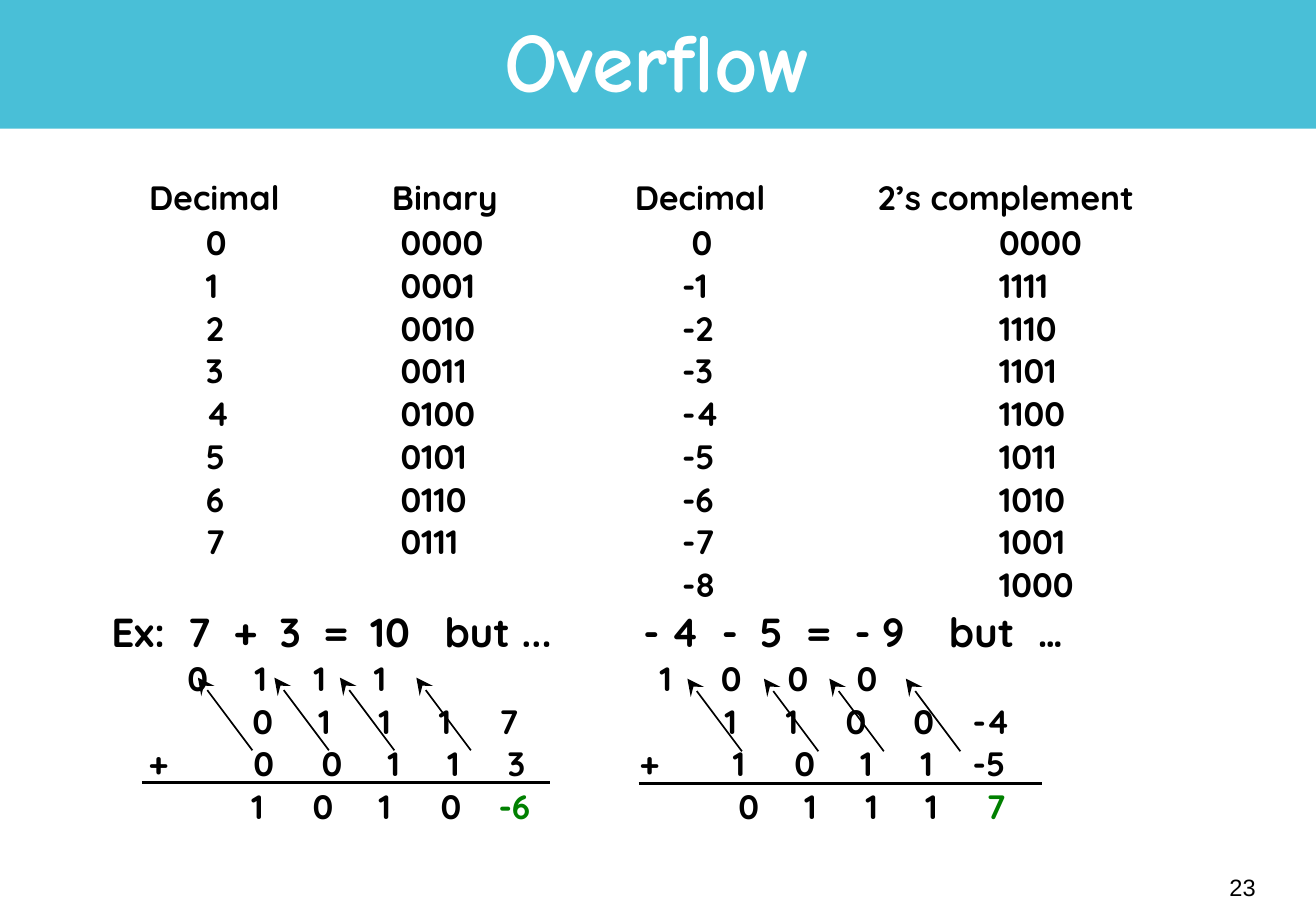
from dataclasses import dataclass

from pptx import Presentation
from pptx.dml.color import RGBColor
from pptx.enum.shapes import MSO_CONNECTOR, MSO_SHAPE
from pptx.enum.text import MSO_ANCHOR, PP_ALIGN
from pptx.oxml.ns import qn
from pptx.util import Cm, Pt
from lxml import etree

RECT = MSO_SHAPE.RECTANGLE
STRAIGHT = MSO_CONNECTOR.STRAIGHT
MIDDLE, TOP = MSO_ANCHOR.MIDDLE, MSO_ANCHOR.TOP
LEFT, CENTER, RIGHT = PP_ALIGN.LEFT, PP_ALIGN.CENTER, PP_ALIGN.RIGHT
BLACK, WHITE, TEAL, GREEN = "000000", "FFFFFF", "49BFD7", "008000"


@dataclass
class Row:
    cells: list[str]
    tabs: list[float]
    size: float = 20
    before: float = 3.7
    results: tuple[int, ...] = ()


@dataclass
class Sum:
    rule_start: float
    rule_end: float
    rule_y: float
    arrow_x: float
    arrow_y: float


HEADER = Row(
    ["Decimal", "Binary", "Decimal", "2’s complement"],
    [0.79 + 5.08 * i for i in range(4)],
    before=0,
)
EXAMPLE = Row(
    ["Ex:", "7", "+", "3", "=", "10", "but ...",
     "- 4", "-", "5", "=", "- 9", "but", "…"],
    [0, 1.6, 2.56, 3.52, 4.44, 5.42, 6.97,
     11.13, 12.77, 13.56, 14.54, 15.55, 17.52, 19.38],
    size=24,
    before=4.5,
)
ADDITION = [
    Row(list("01111000"), [1.59, 3, 4.23, 5.49, 11.47, 12.75, 14.15, 15.59]),
    Row([*"011171100", "-4"],
        [2.95, 4.33, 5.59, 6.85, 8.12, 12.83, 14.11, 15.36, 16.78, 18.02]),
    Row([*"+00113+1011", "-5"],
        [0.78, 2.97, 4.4, 5.78, 7.03, 8.29,
         11.05, 13, 14.29, 15.67, 16.93, 18.02]),
    Row([*"1010", "-6", *"01117"],
        [2.93, 4.21, 5.59, 6.89, 8.1, 13.12, 14.5, 15.78, 17.03, 18.31],
        results=(4, 9)),
]
SUMS = [
    Sum(2.97, 11.51, 16.36, 5.28, 15.69),
    Sum(13.36, 21.79, 16.38, 15.52, 15.71),
]
ARROW_OFFSETS = [0, 1.6, 2.97, 4.57]


def number_row(n: int) -> Row:
    negative = [str(-n), format(-n % 16, "04b")]
    negative_tabs = [11.94 if n else 12.14, 18.57]
    if n == 8:
        return Row(negative, negative_tabs)
    return Row([str(n), format(n, "04b"), *negative],
               [1.98, 6.05, *negative_tabs], before=3.7 if n else 5.5)


def color(value: str) -> RGBColor:
    return RGBColor.from_string(value)


def style_run(r, size: float, font: str, fill: str, bold: bool) -> None:
    r.font.size = Pt(size)
    r.font.name = font
    r.font.bold = bold
    r.font.color.rgb = color(fill)


def add_box(slide, x: float, y: float, w: float, h: float, anchor):
    tf = slide.shapes.add_textbox(Cm(x), Cm(y), Cm(w), Cm(h)).text_frame
    tf.word_wrap = True
    tf.vertical_anchor = anchor
    return tf


def add_label(slide, text: str, box: tuple[float, float, float, float], align,
              size: float, font: str, fill: str, bold: bool, spacing: float) -> None:
    tf = add_box(slide, *box, MIDDLE)
    tf.text = text
    p = tf.paragraphs[0]
    p.alignment = align
    p.line_spacing = spacing
    style_run(p.runs[0], size, font, fill, bold)


def fill_row(p, row: Row) -> None:
    tab_list = etree.SubElement(p._p.get_or_add_pPr(), qn("a:tabLst"))
    for tab in row.tabs:
        if tab:
            etree.SubElement(tab_list, qn("a:tab"), pos=str(Cm(tab)), algn="l")
    p.alignment = LEFT
    p.line_spacing = 0.9
    p.space_before = Pt(row.before)
    for i, (cell, tab) in enumerate(zip(row.cells, row.tabs)):
        r = p.add_run()
        r.text = "\t" + cell if tab else cell
        fill = GREEN if i in row.results else BLACK
        style_run(r, row.size, "Quicksand", fill, True)


def add_line(slide, x1: float, y1: float, x2: float, y2: float,
             width: float, arrow: bool = False) -> None:
    line = slide.shapes.add_connector(STRAIGHT, Cm(x1), Cm(y1), Cm(x2), Cm(y2))
    line.line.color.rgb = color(BLACK)
    line.line.width = Pt(width)
    if arrow:
        etree.SubElement(line.line._get_or_add_ln(), qn("a:tailEnd"),
                         type="stealth", w="lg", len="lg")
    etree.SubElement(line._element.spPr, qn("a:effectLst"))


def main() -> None:
    prs = Presentation()
    prs.slide_width, prs.slide_height = Cm(27.53), Cm(19.05)
    slide = prs.slides.add_slide(prs.slide_layouts[6])

    banner = slide.shapes.add_shape(RECT, 0, 0, prs.slide_width, Cm(2.69))
    banner.shadow.inherit = False
    banner.fill.solid()
    banner.fill.fore_color.rgb = color(TEAL)
    banner.line.fill.background()
    add_label(slide, "Overflow", (2.06, 0.13, 23.39, 2.51),
              CENTER, 50, "Comic Neue", WHITE, True, 0.85)

    tf = add_box(slide, 2.08, 3.66, 23.39, 13.9, TOP)
    rows = [HEADER, *map(number_row, range(9)), EXAMPLE, *ADDITION]
    for i, row in enumerate(rows):
        fill_row(tf.add_paragraph() if i else tf.paragraphs[0], row)

    for s in SUMS:
        add_line(slide, s.rule_start, s.rule_y, s.rule_end, s.rule_y, 2)
        for offset in ARROW_OFFSETS:
            x = s.arrow_x + offset
            add_line(slide, x, s.arrow_y, x - 1.14, s.arrow_y - 1.52, 1, True)

    add_label(slide, "23", (20.78, 17.91, 5.74, 1.27),
              RIGHT, 14, "Arial", BLACK, False, 1.0)
    prs.save("out.pptx")


if __name__ == "__main__":
    main()
